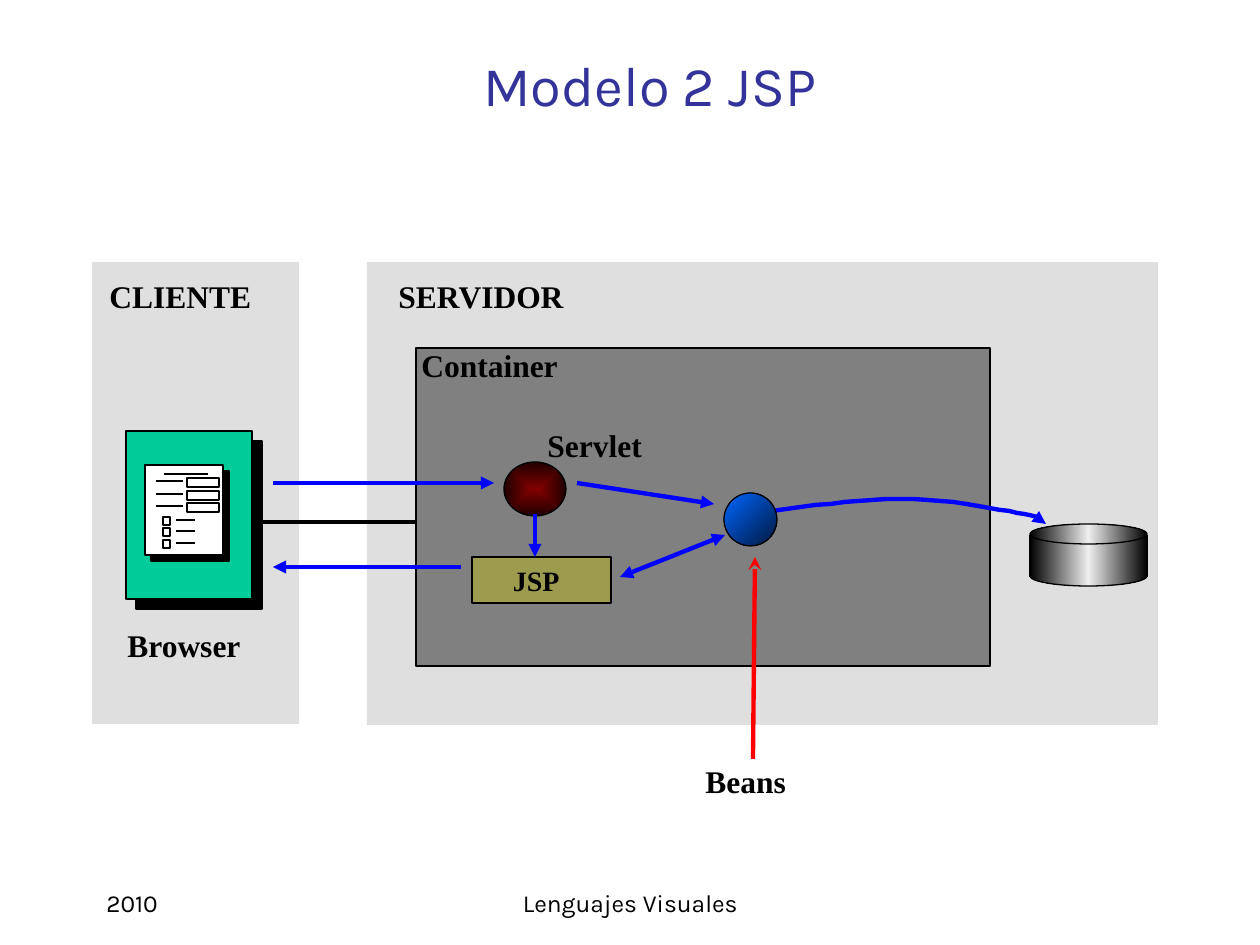
import pptx
import pptx.util
import pptx.dml.color
import pptx.enum.shapes
import pptx.enum.text
import pptx.oxml
import pptx.oxml.ns

RGBColor = pptx.dml.color.RGBColor
MSO_SHAPE = pptx.enum.shapes.MSO_SHAPE
PP_ALIGN = pptx.enum.text.PP_ALIGN
MSO_ANCHOR = pptx.enum.text.MSO_ANCHOR
Pt = pptx.util.Pt

PX = 914400 / 126
BLACK = RGBColor(0, 0, 0)
WHITE = RGBColor(255, 255, 255)
SILVER = RGBColor(0xC0, 0xC0, 0xC0)
GRAY = RGBColor(0x80, 0x80, 0x80)
GREEN = RGBColor(0, 0xCC, 0x99)
OLIVE = RGBColor(0x9D, 0x9B, 0x4D)
NAVY = RGBColor(0x33, 0x33, 0x99)
BLUE = RGBColor(0, 0, 255)
RED = RGBColor(255, 0, 0)
LIGHT = RGBColor(0xEF, 0xEF, 0xEF)
AZURE = RGBColor(0, 0x66, 0xFF)
MIDNIGHT = RGBColor(0, 0x19, 0x3F)
MAROON = RGBColor(0x80, 0, 0)
DARK_MAROON = RGBColor(0x20, 0, 0)

SANS, SERIF = "Karla", "Times New Roman"
TITLE = ("Modelo 2 JSP", (134, 26, 1032, 116))
FOOTERS = [
    ("2010", (94, 882, 262, 42), PP_ALIGN.LEFT),
    ("Lenguajes Visuales", (431, 882, 399, 42), PP_ALIGN.CENTER),
]
LABELS = [
    ("Container", (409, 340, 539, 50)),
    ("Browser", (115, 620, 142, 50)),
    ("Beans", (693, 756, 142, 50)),
    ("SERVIDOR", (386, 271, 222, 50)),
    ("CLIENTE", (97, 271, 180, 50)),
    ("Servlet", (535, 420, 142, 50)),
]
PANELS = [(367, 262, 791, 463), (92, 262, 207, 462)]
CONTAINER = (416, 348, 574, 318)
PAGES = [((126, 431, 126, 168), 10, GREEN), ((145, 465, 78, 90), 6, WHITE)]
FIELD_ROWS = [481, 494, 506]
CHECK_ROWS = [520, 531, 543]
CYLINDER_LEFT, CYLINDER_RIGHT = 1030, 1147
ARROWS = [
    ((273, 483), (494, 483), BLUE, None, "triangle"),
    ((273, 567), (461, 567), BLUE, "triangle", None),
    ((577, 483), (714, 504), BLUE, None, "triangle"),
    ((535, 514), (535, 557), BLUE, None, "triangle"),
    ((620, 577), (725, 535), BLUE, "triangle", "triangle"),
    ((753, 759), (755, 557), RED, None, "stealth"),
]
CURVE = [
    ((757, 513), (806, 507), (857, 499), (900, 499)),
    ((900, 499), (944, 499), (993, 508), (1017, 513)),
    ((1017, 513), (1041, 517), (1043, 520), (1046, 524)),
]
CURVE_STEPS = 10
METAL = [(0, BLACK), (50, LIGHT), (100, BLACK)]
LINEAR = '<a:lin ang="{}" scaled="0"/>'
CENTERED = '<a:path path="rect"><a:fillToRect l="50000" t="50000" r="50000" b="50000"/></a:path>'

presentation = pptx.Presentation()
presentation.slide_width = pptx.util.Inches(10)
presentation.slide_height = pptx.util.Inches(7.5)
slide = presentation.slides.add_slide(presentation.slide_layouts[5])


def emu(values):
    return [round(value * PX) for value in values]


def drawing(xml):
    return pptx.oxml.parse_xml(xml.replace(">", f" {pptx.oxml.ns.nsdecls('a')}>", 1)
                               if not xml.endswith("/>") or xml.count("<") > 1
                               else xml.replace("/>", f" {pptx.oxml.ns.nsdecls('a')}/>"))


def write(shape, text, size, font, color, bold=False, align=PP_ALIGN.LEFT):
    frame = shape.text_frame
    frame.word_wrap = True
    frame.text = text
    paragraph = frame.paragraphs[0]
    paragraph.alignment = align
    style = paragraph.runs[0].font
    style.size, style.name, style.bold = Pt(size), font, bold
    style.color.rgb = color


def add_text(text, box, *style, **options):
    write(slide.shapes.add_textbox(*emu(box)), text, *style, **options)


def add_shape(kind, box, fill=None, line=BLACK, width=0.75):
    shape = slide.shapes.add_shape(kind, *emu(box))
    shape.shadow.inherit = False
    if fill is None:
        shape.fill.background()
    else:
        shape.fill.solid()
        shape.fill.fore_color.rgb = fill
    if line is None:
        shape.line.fill.background()
    else:
        shape.line.color.rgb = line
        shape.line.width = Pt(width)
    return shape


def shade(shape, stops, direction):
    shape.fill.gradient()
    old = shape.element.spPr.find(pptx.oxml.ns.qn("a:gradFill"))
    marks = "".join(f'<a:gs pos="{place * 1000}"><a:srgbClr val="{color}"/></a:gs>'
                    for place, color in stops)
    new = drawing(f"<a:gradFill><a:gsLst>{marks}</a:gsLst>{direction}</a:gradFill>")
    old.getparent().replace(old, new)


def add_heads(shape, head, tail):
    line = shape.line._get_or_add_ln()
    for tag, kind in (("headEnd", head), ("tailEnd", tail)):
        if kind:
            line.append(drawing(f'<a:{tag} type="{kind}"/>'))


def add_line(start, end, color=BLACK, width=0.75, head=None, tail=None):
    line = slide.shapes.add_connector(pptx.enum.shapes.MSO_CONNECTOR.STRAIGHT, *emu(start + end))
    line.line.color.rgb = color
    line.line.width = Pt(width)
    add_heads(line, head, tail)
    line.element.spPr.append(drawing("<a:effectLst/>"))


def curve_point(points, t):
    weights = ((1 - t) ** 3, 3 * t * (1 - t) ** 2, 3 * t * t * (1 - t), t ** 3)
    return tuple(sum(w * p[axis] for w, p in zip(weights, points)) for axis in (0, 1))


title = slide.shapes.title
title.left, title.top, title.width, title.height = emu(TITLE[1])
write(title, TITLE[0], 32, SANS, NAVY, align=PP_ALIGN.CENTER)
title.text_frame.vertical_anchor = MSO_ANCHOR.MIDDLE
for text, box, align in FOOTERS:
    add_text(text, box, 14, SANS, BLACK, align=align)

for box in PANELS:
    panel = add_shape(MSO_SHAPE.RECTANGLE, box, SILVER, None)
    color = panel.element.spPr.find(".//" + pptx.oxml.ns.qn("a:srgbClr"))
    color.append(drawing('<a:alpha val="50000"/>'))
add_shape(MSO_SHAPE.RECTANGLE, CONTAINER, GRAY, width=1)
add_line((249, 522), (417, 522), width=2.5)

for (left, top, width, height), offset, fill in PAGES:
    add_shape(MSO_SHAPE.RECTANGLE, (left + offset, top + offset, width, height), BLACK)
    add_shape(MSO_SHAPE.RECTANGLE, (left, top, width, height), fill)
add_line((164, 474), (208, 474), width=1.5)
for y in FIELD_ROWS:
    add_line((156, y), (183, y))
    add_shape(MSO_SHAPE.RECTANGLE, (187, y - 3, 32, 9))
for y in CHECK_ROWS:
    add_line((176, y), (195, y))
    add_shape(MSO_SHAPE.RECTANGLE, (163, y - 3, 7, 8))

span = CYLINDER_RIGHT - CYLINDER_LEFT
for kind, top, height, line in [(MSO_SHAPE.OVAL, 566, 20, BLACK),
                                (MSO_SHAPE.RECTANGLE, 535, 42, None),
                                (MSO_SHAPE.OVAL, 524, 20, BLACK)]:
    shade(add_shape(kind, (CYLINDER_LEFT, top, span, height), BLACK, line), METAL, LINEAR.format(0))
for x in (CYLINDER_LEFT, CYLINDER_RIGHT):
    add_line((x, 535), (x, 577))

builder = slide.shapes.build_freeform(*CURVE[0][0], scale=PX)
builder.add_line_segments([curve_point(points, step / CURVE_STEPS) for points in CURVE
                           for step in range(1, CURVE_STEPS + 1)], close=False)
data_arrow = builder.convert_to_shape()
data_arrow.shadow.inherit = False
data_arrow.fill.background()
data_arrow.line.color.rgb = BLUE
data_arrow.line.width = Pt(2.5)
add_heads(data_arrow, None, "triangle")

bean = add_shape(MSO_SHAPE.OVAL, (724, 493, 53, 53), AZURE)
shade(bean, [(0, AZURE), (100, MIDNIGHT)], LINEAR.format(45 * 60000))
servlet = add_shape(MSO_SHAPE.OVAL, (504, 462, 62, 54), MAROON)
shade(servlet, [(0, MAROON), (100, DARK_MAROON)], CENTERED)
jsp = add_shape(MSO_SHAPE.RECTANGLE, (472, 557, 139, 46), OLIVE)
write(jsp, "JSP", 16, SERIF, BLACK, bold=True)
jsp.text_frame.margin_left = round(41 * PX)
jsp.text_frame.vertical_anchor = MSO_ANCHOR.MIDDLE

for start, end, color, head, tail in ARROWS:
    add_line(start, end, color, 2.5, head, tail)
for text, box in LABELS:
    add_text(text, box, 18, SERIF, BLACK, bold=True)

presentation.save("out.pptx")
